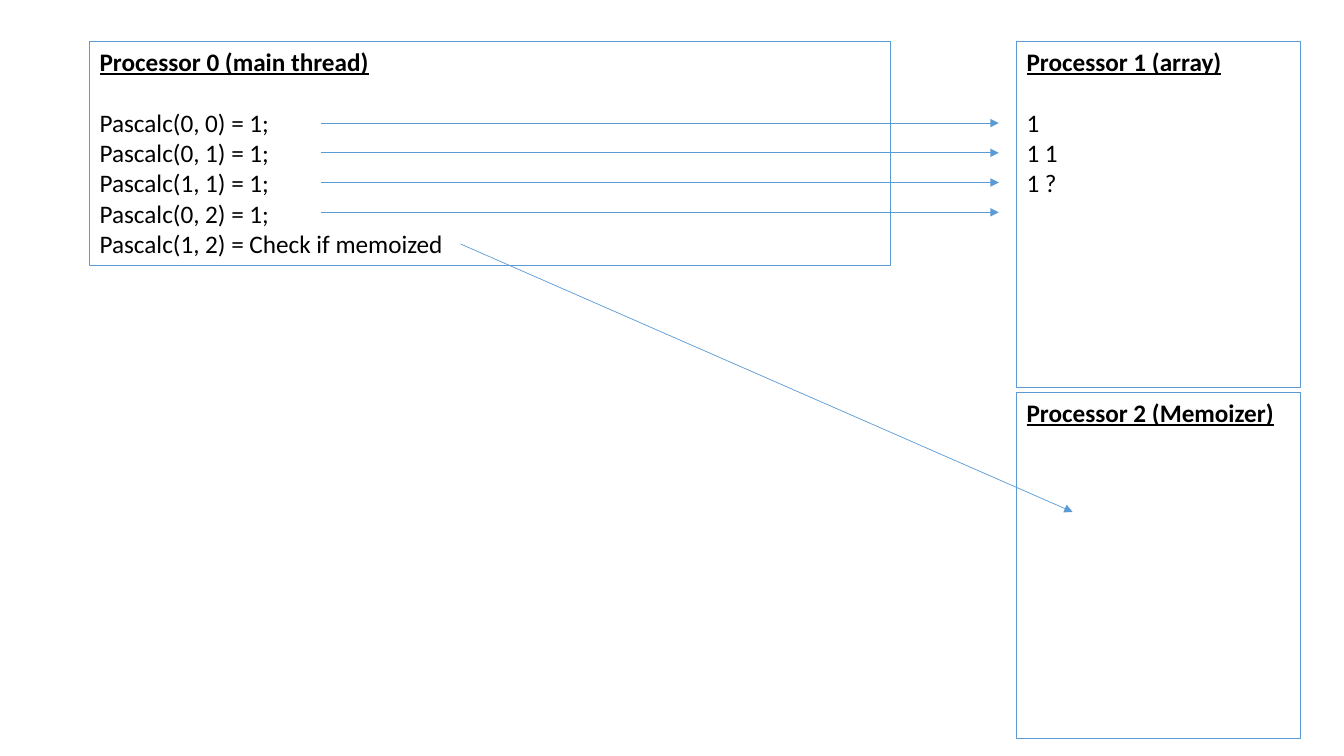
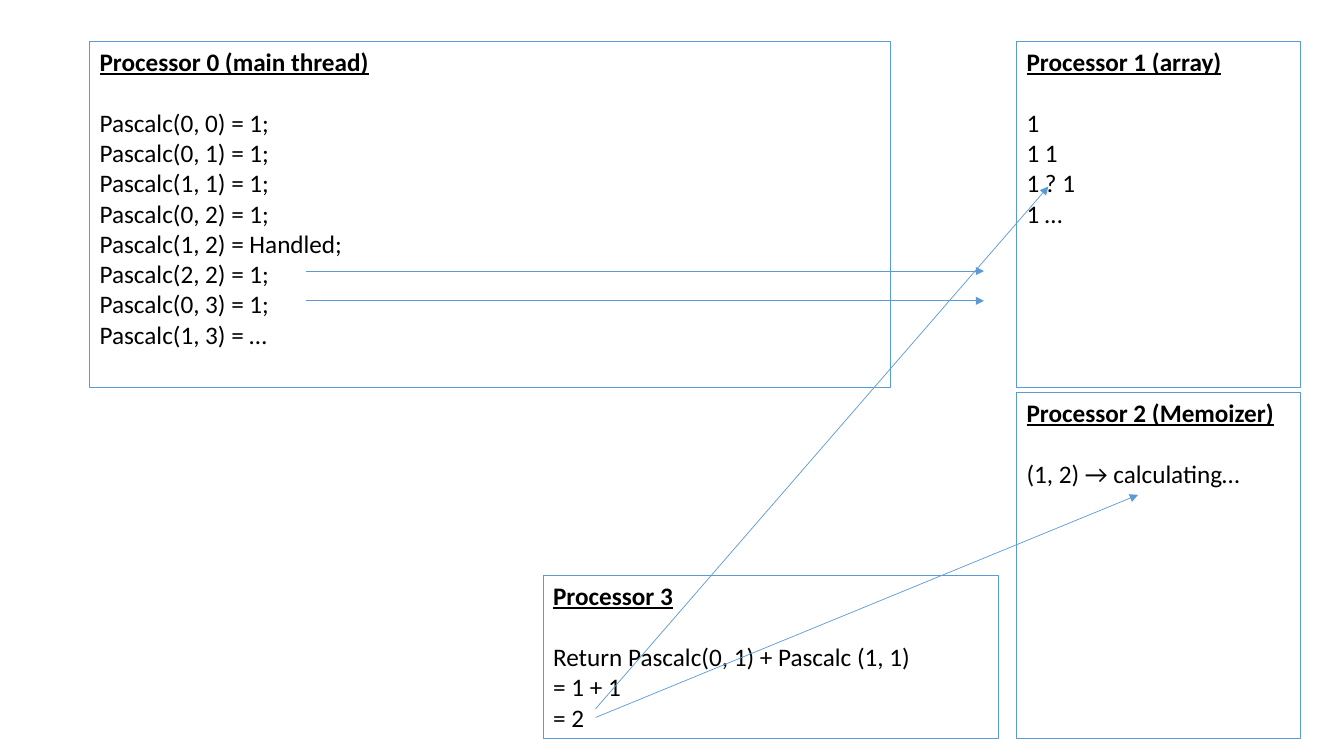
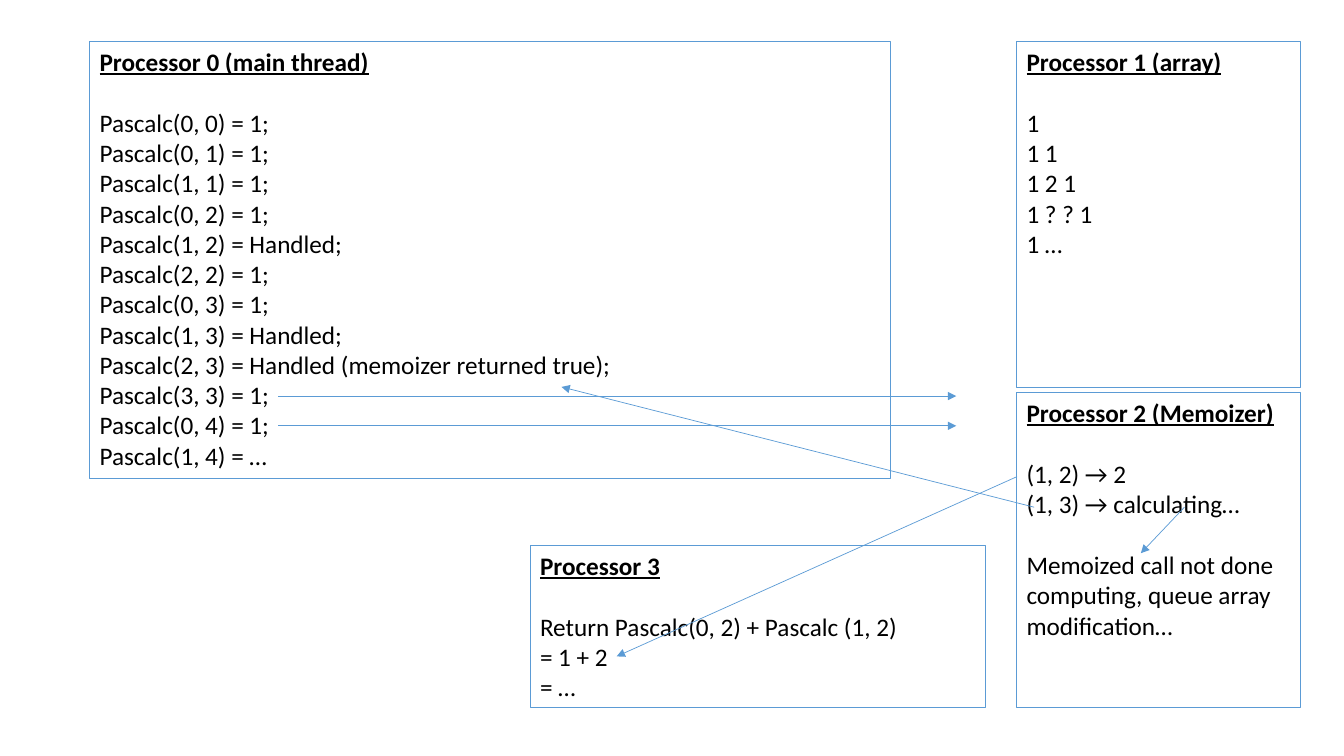
from pptx import Presentation
from pptx.dml.color import RGBColor
from pptx.enum.shapes import MSO_CONNECTOR as Connector
from pptx.enum.text import MSO_ANCHOR as Anchor, MSO_AUTO_SIZE as AutoSize
from pptx.oxml.ns import qn
from pptx.util import Cm, Pt
from lxml import etree

# Shared style
BLUE = RGBColor(0x5B, 0x9B, 0xD5)
BLACK = RGBColor(0, 0, 0)
FONT = "Calibri"
TEXT_SIZE = Pt(18)
BLANK_ROW = Pt(22)

# Shared geometry, in cm
ROW_HEIGHT, BOX_PADDING = 0.77, 0.25
CALL_STEP, CALL_LENGTH = 0.75, 17.09
TOP = 1.04
MAIN_LEFT, MAIN_WIDTH = 2.26, 20.19
SIDE_LEFT, SIDE_WIDTH = 25.62, 7.16
ARRAY_ROWS = 11
MEMOIZER_TOP = 9.88
WORKER_WIDTH, WORKER_ROWS = 11.48, 5

# Content: a line that starts a new group is given as ("gap", text)
GAP = "gap"
FIRST_CALLS = [
    "Pascalc(0, 0) = 1;",
    "Pascalc(0, 1) = 1;",
    "Pascalc(1, 1) = 1;",
    "Pascalc(0, 2) = 1;",
]
NEXT_CALLS = FIRST_CALLS + [
    "Pascalc(1, 2) = Handled;",
    "Pascalc(2, 2) = 1;",
    "Pascalc(0, 3) = 1;",
]

# "calls" holds left, first height and count of the level arrows;
# "arrows" holds the start and end points of the slanted ones
STEPS = [
    {
        "main": FIRST_CALLS + ["Pascalc(1, 2) = Check if memoized"],
        "main_rows": 7,
        "array": ["1", "1 1", "1 ?"],
        "memoizer": [],
        "memoizer_rows": 11,
        "worker": None,
        "calls": (8.08, 3.1, 4),
        "arrows": [((11.61, 6.15), (27.03, 12.9))],
    },
    {
        "main": NEXT_CALLS + ["Pascalc(1, 3) = …"],
        "main_rows": 11,
        "array": ["1", "1 1", "1 ? 1", "1 …"],
        "memoizer": ["(1, 2) → calculating…"],
        "memoizer_rows": 11,
        "worker": ["Return Pascalc(0, 1) + Pascalc (1, 1)", "= 1 + 1", "= 2"],
        "worker_at": (13.69, 14.5),
        "calls": (7.71, 6.83, 2),
        "arrows": [
            ((15.01, 17.86), (26.42, 4.7)),
            ((15.01, 18.08), (28.68, 12.47)),
        ],
    },
    {
        "main": NEXT_CALLS + [
            "Pascalc(1, 3) = Handled;",
            "Pascalc(2, 3) = Handled (memoizer returned true);",
            "Pascalc(3, 3) = 1;",
            "Pascalc(0, 4) = 1;",
            "Pascalc(1, 4) = …",
        ],
        "main_rows": 14,
        "array": ["1", "1 1", "1 2 1", "1 ? ? 1", "1 …"],
        "memoizer": [
            "(1, 2) → 2",
            "(1, 3) → calculating…",
            (GAP, "Memoized call not done computing, queue array modification…"),
        ],
        "memoizer_rows": 10,
        "worker": ["Return Pascalc(0, 2) + Pascalc (1, 2)", "= 1 + 2", "= …"],
        "worker_at": (13.36, 13.74),
        "calls": (7.01, 9.98, 2),
        "arrows": [
            ((25.63, 12.01), (15.54, 16.54)),
            ((29.85, 12.78), (28.75, 13.94)),
            ((26.06, 12.78), (14.15, 9.75)),
        ],
    },
]


def write_line(paragraph, text, heading=False):
    paragraph.text = text
    font = paragraph.runs[0].font
    font.name, font.size = FONT, TEXT_SIZE
    font.color.rgb = BLACK
    font.bold = font.underline = heading


def add_processor(slide, left, top, width, rows, heading, lines):
    """Outlined box, as tall as its rows, with a heading above its lines."""
    height = rows * ROW_HEIGHT + BOX_PADDING
    shape = slide.shapes.add_textbox(Cm(left), Cm(top), Cm(width), Cm(height))
    shape.line.color.rgb = BLUE
    shape.line.width = Pt(0.75)
    text_frame = shape.text_frame
    text_frame.word_wrap = True
    text_frame.auto_size = AutoSize.NONE
    text_frame.vertical_anchor = Anchor.TOP
    write_line(text_frame.paragraphs[0], heading, heading=True)
    for index, line in enumerate(lines):
        paragraph = text_frame.add_paragraph()
        starts_group = isinstance(line, tuple)
        write_line(paragraph, line[1] if starts_group else line)
        if index == 0 or starts_group:
            paragraph.space_before = BLANK_ROW


def add_arrow(slide, start, end):
    points = [Cm(length) for length in (*start, *end)]
    connector = slide.shapes.add_connector(Connector.STRAIGHT, *points)
    connector.line.color.rgb = BLUE
    connector.line.width = Pt(0.5)
    outline = connector.line._get_or_add_ln()
    etree.SubElement(outline, qn("a:tailEnd"), type="triangle")
    properties = connector._element.find(qn("p:spPr"))
    etree.SubElement(properties, qn("a:effectLst"))


def add_step(presentation, step):
    slide = presentation.slides.add_slide(presentation.slide_layouts[6])

    # Processors
    add_processor(slide, MAIN_LEFT, TOP, MAIN_WIDTH, step["main_rows"],
                  "Processor 0 (main thread)", step["main"])
    add_processor(slide, SIDE_LEFT, TOP, SIDE_WIDTH, ARRAY_ROWS,
                  "Processor 1 (array)", step["array"])
    add_processor(slide, SIDE_LEFT, MEMOIZER_TOP, SIDE_WIDTH, step["memoizer_rows"],
                  "Processor 2 (Memoizer)", step["memoizer"])
    if step["worker"]:
        add_processor(slide, *step["worker_at"], WORKER_WIDTH, WORKER_ROWS,
                      "Processor 3", step["worker"])

    # Level arrows from the calls to the array, then the slanted ones
    left, first, count = step["calls"]
    for index in range(count):
        height = first + index * CALL_STEP
        add_arrow(slide, (left, height), (left + CALL_LENGTH, height))
    for start, end in step["arrows"]:
        add_arrow(slide, start, end)


def main():
    presentation = Presentation()
    presentation.slide_width, presentation.slide_height = Cm(33.87), Cm(19.05)
    for step in STEPS:
        add_step(presentation, step)
    presentation.save("out.pptx")


if __name__ == "__main__":
    main()
